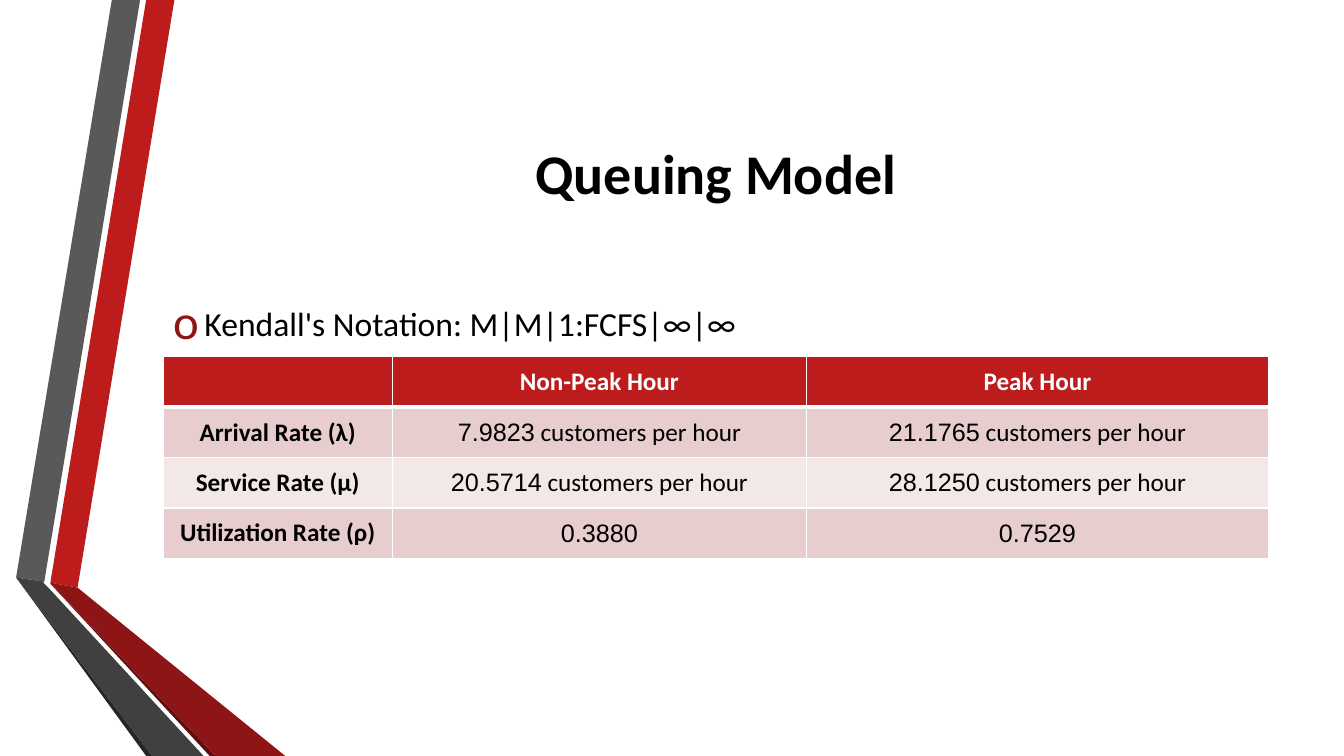
from lxml.etree import SubElement
from pptx import Presentation
from pptx.dml.color import RGBColor
from pptx.enum.text import MSO_ANCHOR as Anchor, PP_ALIGN as Align
from pptx.oxml.ns import qn
from pptx.util import Inches, Pt

COLORS = {
    "red": "BC1C1C", "dark red": "8D1515", "deep red": "5E0E0E",
    "gray": "595959", "dark gray": "404040", "deep gray": "262626",
    "black": "000000", "white": "FFFFFF",
    "band": "E7CDCD", "light band": "F3E8E8",
}
TITLE = "Queuing Model"
NOTATION = "Kendall's Notation: M|M|1:FCFS|∞|∞"
UNIT = " customers per hour"
HEADER = ["", "Non-Peak Hour", "Peak Hour"]
RATES = [
    ("Arrival Rate (λ)", "7.9823", "21.1765", UNIT),
    ("Service Rate (µ)", "20.5714", "28.1250", UNIT),
    ("Utilization Rate (ρ)", "0.3880", "0.7529", ""),
]
RIBBONS = [
    ("red", [(0.5, 5.78), (0.77, 5.83), (1.73, 0), (1.45, 0)]),
    ("gray", [(1.39, 0), (1.11, 0), (0.16, 5.73), (0.44, 5.77)]),
    ("deep gray", [(0.16, 5.73), (1.45, 7.5), (1.51, 7.5)]),
    ("deep red", [(0.5, 5.79), (2.08, 7.5), (2.14, 7.5)]),
    ("dark red", [(0.5, 5.79), (2.14, 7.5), (2.83, 7.5), (0.77, 5.83), (0.5, 5.78)]),
    ("dark gray", [(2.02, 7.5), (0.48, 5.83), (0.43, 5.78), (0.44, 5.77),
                   (0.16, 5.73), (1.51, 7.5)]),
]
LEFT, WIDTH = 1.62, 10.96
COLUMNS = [2.27, 4.11, 4.58]
ROW_HEIGHT = 0.5


def color(name):
    return RGBColor.from_string(COLORS[name])


def add_span(para, text, size=18, font="Calibri", fill="black", bold=False):
    span = para.add_run()
    span.text = text
    span.font.size = Pt(size)
    span.font.name = font
    span.font.bold = bold
    span.font.color.rgb = color(fill)


def draw_ribbon(slide, fill, points):
    builder = slide.shapes.build_freeform(
        Inches(points[0][0]), Inches(points[0][1]), scale=1.0)
    builder.add_line_segments([(Inches(x), Inches(y)) for x, y in points[1:]])
    ribbon = builder.convert_to_shape()
    ribbon.shadow.inherit = False
    ribbon.fill.solid()
    ribbon.fill.fore_color.rgb = color(fill)
    ribbon.line.fill.background()


def set_borders(cell, top=1, bottom=1):
    properties = cell._tc.get_or_add_tcPr()
    sides = (("a:lnL", 1), ("a:lnR", 1), ("a:lnT", top), ("a:lnB", bottom))
    for position, (tag, width) in enumerate(sides):
        line = SubElement(properties, qn(tag), w=str(Pt(width)))
        properties.insert(position, line)
        paint = SubElement(line, qn("a:solidFill"))
        SubElement(paint, qn("a:srgbClr"), val=COLORS["white"])


def format_cell(cell, fill, **borders):
    cell.fill.solid()
    cell.fill.fore_color.rgb = color(fill)
    cell.vertical_anchor = Anchor.MIDDLE
    set_borders(cell, **borders)
    para = cell.text_frame.paragraphs[0]
    para.alignment = Align.CENTER
    return para


def add_rates(slide):
    frame = slide.shapes.add_table(
        len(RATES) + 1, len(COLUMNS), Inches(LEFT), Inches(3.54),
        Inches(WIDTH), Inches(ROW_HEIGHT * (len(RATES) + 1)))
    table = frame.table
    for column, width in zip(table.columns, COLUMNS):
        column.width = Inches(width)
    for cell, text in zip(table.rows[0].cells, HEADER):
        para = format_cell(cell, "red", bottom=3)
        if text:
            add_span(para, text, fill="white", bold=True)
    for index, (label, *values, unit) in enumerate(RATES, 1):
        fill = "band" if index % 2 else "light band"
        top = 3 if index == 1 else 1
        paras = [format_cell(cell, fill, top=top) for cell in table.rows[index].cells]
        add_span(paras[0], label, bold=True)
        for para, value in zip(paras[1:], values):
            add_span(para, value, font="Arial")
            if unit:
                add_span(para, unit)


def add_notation(slide):
    box = slide.shapes.add_textbox(
        Inches(LEFT), Inches(2.74), Inches(WIDTH), Inches(0.93))
    box.text_frame.word_wrap = True
    box.text_frame.vertical_anchor = Anchor.MIDDLE
    para = box.text_frame.paragraphs[0]
    para.space_before = Pt(4.8)
    para.space_after = Pt(6)
    properties = para._p.get_or_add_pPr()
    properties.set("marL", str(Inches(0.31)))
    properties.set("indent", str(-Inches(0.31)))
    paint = SubElement(properties, qn("a:buClr"))
    SubElement(paint, qn("a:srgbClr"), val=COLORS["dark red"])
    SubElement(properties, qn("a:buSzPct"), val="145000")
    SubElement(properties, qn("a:buFont"), typeface="Calibri")
    SubElement(properties, qn("a:buChar"), char="o")
    add_span(para, NOTATION, size=24)


def main():
    deck = Presentation()
    deck.slide_width, deck.slide_height = Inches(13.33), Inches(7.5)
    slide = deck.slides.add_slide(deck.slide_layouts[5])
    for fill, points in RIBBONS:
        draw_ribbon(slide, fill, points)
    title = slide.shapes.title
    title.left, title.top = Inches(LEFT), Inches(0.75)
    title.width, title.height = Inches(WIDTH), Inches(1.92)
    title.text_frame.vertical_anchor = Anchor.MIDDLE
    para = title.text_frame.paragraphs[0]
    para.alignment = Align.CENTER
    add_span(para, TITLE, size=40, bold=True)
    add_rates(slide)
    add_notation(slide)
    deck.save("out.pptx")


if __name__ == "__main__":
    main()
